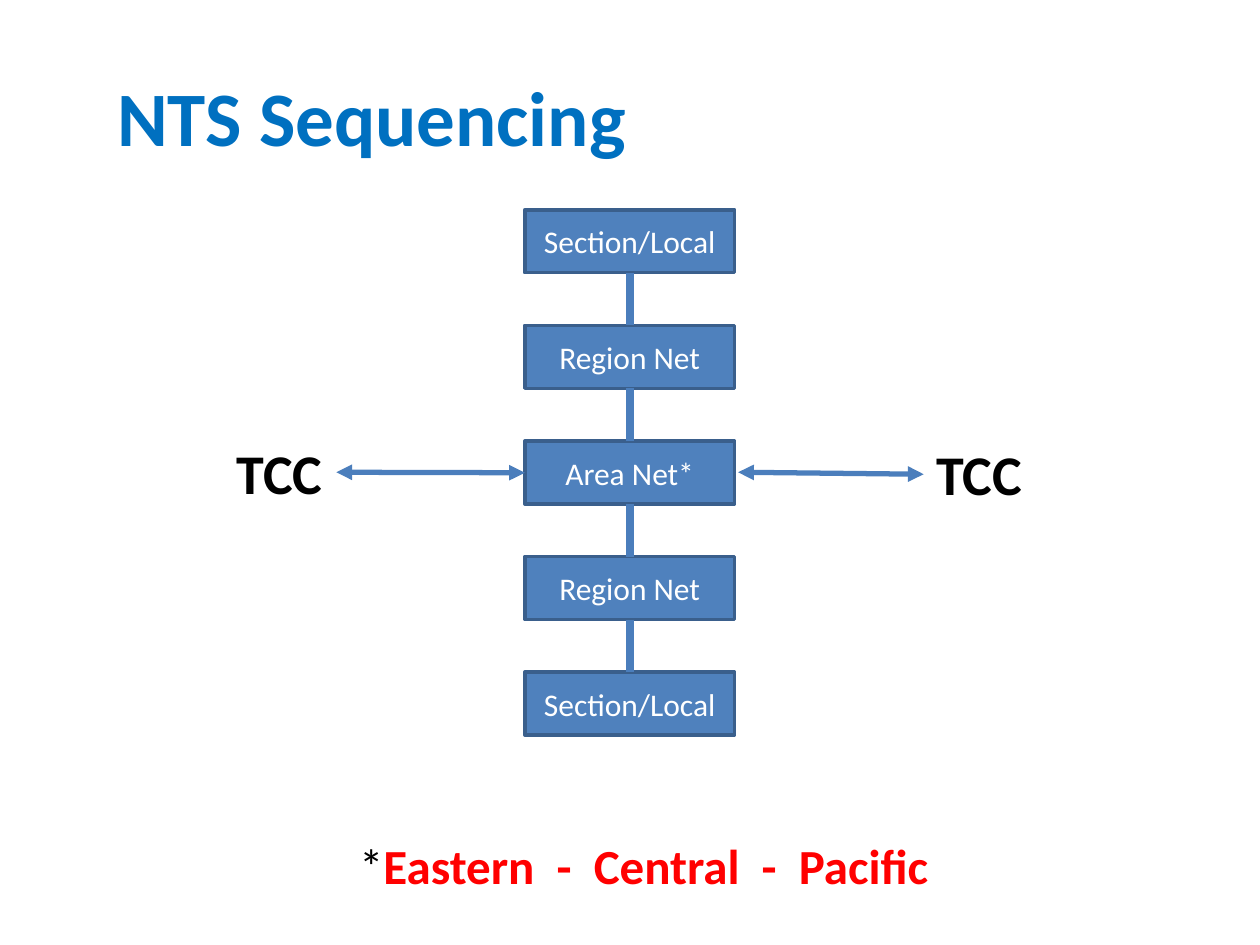
from lxml import etree
from pptx import Presentation
from pptx import util as u
from pptx.dml.color import RGBColor
from pptx.enum import shapes, text
from pptx.oxml import ns

INK = {
    "title": "0070C0", "box": "4F81BD", "edge": "3A5F8C", "line": "4B7EBC",
    "white": "FFFFFF", "black": "000000", "red": "FF0000",
}
NETS = ["Section/Local", "Region Net", "Area Net*", "Region Net", "Section/Local"]

# Net column, in cm
LEFT, TOP, WIDE, HIGH, STEP = 10.58, 4.23, 4.23, 1.27, 2.33
MID = LEFT + WIDE / 2


def color(name):
    return RGBColor.from_string(INK[name])


def add_run(para, words, size, ink, bold=False):
    run = para.add_run()
    run.text = words
    font = run.font
    font.name, font.size, font.bold = "Calibri", u.Pt(size), bold
    font.color.rgb = color(ink)


def add_text(slide, x, y, w, h, runs, wrap=False):
    box = slide.shapes.add_textbox(u.Cm(x), u.Cm(y), u.Cm(w), u.Cm(h))
    frame = box.text_frame
    frame.word_wrap = wrap
    if wrap:
        frame.vertical_anchor = text.MSO_ANCHOR.MIDDLE
    else:
        frame.auto_size = text.MSO_AUTO_SIZE.SHAPE_TO_FIT_TEXT
    for run in runs:
        add_run(frame.paragraphs[0], *run)


def add_net(slide, y, name):
    box = slide.shapes.add_shape(
        shapes.MSO_SHAPE.RECTANGLE, u.Cm(LEFT), u.Cm(y), u.Cm(WIDE), u.Cm(HIGH))
    box.shadow.inherit = False
    box.fill.solid()
    box.fill.fore_color.rgb = color("box")
    box.line.color.rgb = color("edge")
    box.line.width = u.Pt(2)
    frame = box.text_frame
    frame.word_wrap = True
    frame.vertical_anchor = text.MSO_ANCHOR.MIDDLE
    para = frame.paragraphs[0]
    para.alignment = text.PP_ALIGN.CENTER
    add_run(para, name, 18, "white")


def add_line(slide, x1, y1, x2, y2, width, arrows=False):
    line = slide.shapes.add_connector(
        shapes.MSO_CONNECTOR.STRAIGHT, u.Cm(x1), u.Cm(y1), u.Cm(x2), u.Cm(y2))
    line.line.color.rgb = color("line")
    line.line.width = u.Pt(width)
    if arrows:
        stroke = line.line._get_or_add_ln()
        for end in ("a:headEnd", "a:tailEnd"):
            etree.SubElement(stroke, ns.qn(end), type="triangle")
    etree.SubElement(line._element.spPr, ns.qn("a:effectLst"))


def main():
    deck = Presentation()
    deck.slide_width, deck.slide_height = u.Cm(25.4), u.Cm(19.05)
    slide = deck.slides.add_slide(deck.slide_layouts[6])

    # Title
    add_text(slide, 2.11, 0.74, 22.43, 3.18,
             [("NTS Sequencing", 44, "title", True)], wrap=True)

    # Column of nets
    tops = [TOP + i * STEP for i in range(len(NETS))]
    for y, name in zip(tops, NETS):
        add_net(slide, y, name)

    # Centres on both sides, with two-way arrows
    for x, y in ((4.52, 8.71), (18.62, 8.74)):
        add_text(slide, x, y, 2.26, 1.62, [("TCC", 32, "black", True)])
    add_line(slide, 6.78, 9.52, LEFT, 9.53, 3, arrows=True)
    add_line(slide, 14.88, 9.52, 18.62, 9.56, 3, arrows=True)

    # Links between nets
    for y, below in zip(tops, tops[1:]):
        add_line(slide, MID, y + HIGH, MID, below, 4.5)

    # Footnote
    add_text(slide, 6.99, 16.71, 12.14, 1.45,
             [("*", 28, "black"),
              ("Eastern  -  Central  -  Pacific", 28, "red", True)])

    deck.save("out.pptx")


if __name__ == "__main__":
    main()
